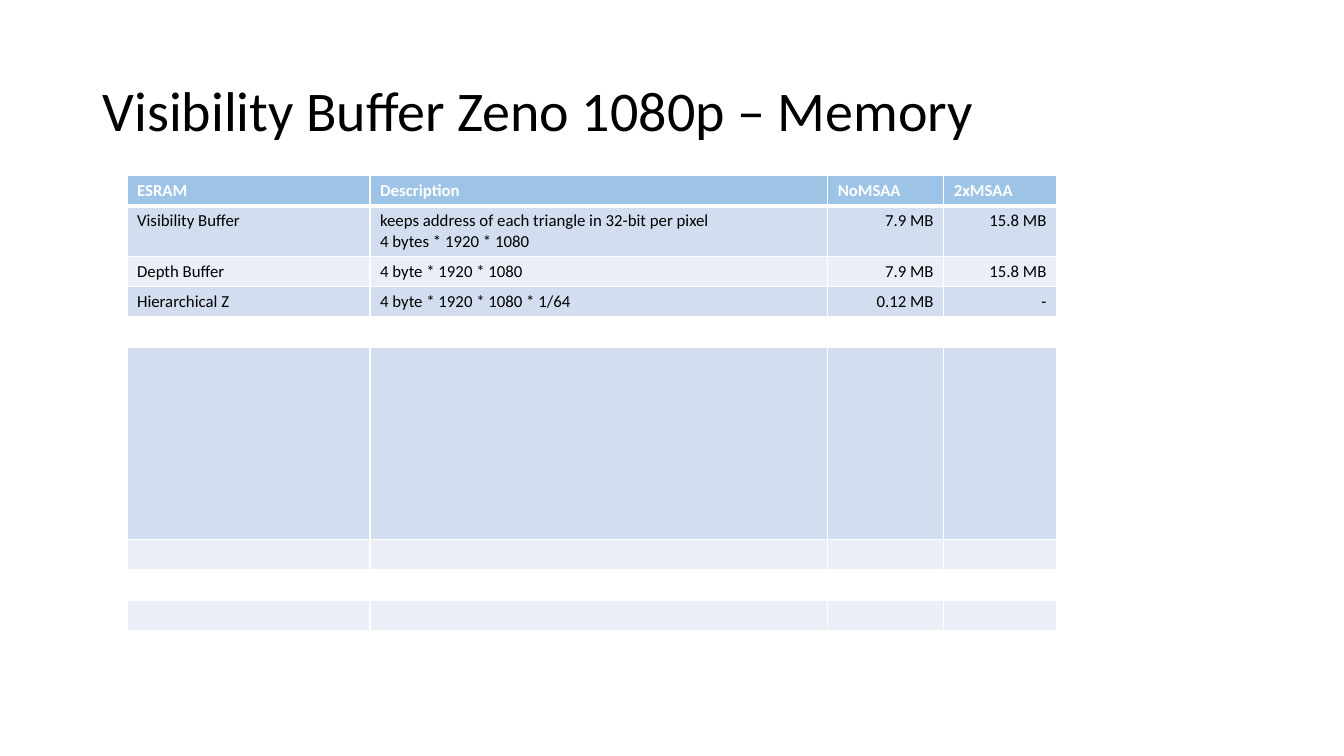
from lxml.etree import SubElement
from pptx import Presentation
from pptx.dml.color import RGBColor
from pptx.enum.text import MSO_ANCHOR, PP_ALIGN
from pptx.oxml.ns import qn
from pptx.util import Inches, Pt

WHITE = RGBColor(0xFF, 0xFF, 0xFF)
BLACK = RGBColor(0, 0, 0)
HEAD = RGBColor(0x9D, 0xC3, 0xE6)
DARK = RGBColor(0xD2, 0xDE, 0xEF)
LIGHT = RGBColor(0xEA, 0xEF, 0xF7)

COLS = [2.41, 4.54, 1.15, 1.12]
ROWS = [
    (0.3, HEAD, ["ESRAM", "Description", "NoMSAA", "2xMSAA"]),
    (0.5, DARK, ["Visibility Buffer",
                 "keeps address of each triangle in 32-bit per pixel\n4 bytes * 1920 * 1080",
                 "7.9 MB", "15.8 MB"]),
    (0.3, LIGHT, ["Depth Buffer", "4 byte * 1920 * 1080", "7.9 MB", "15.8 MB"]),
    (0.3, DARK, ["Hierarchical Z", "4 byte * 1920 * 1080 * 1/64", "0.12 MB", "-"]),
    (0.3, WHITE, [""] * 4),
    (1.91, DARK, [""] * 4),
    (0.3, LIGHT, [""] * 4),
    (0.3, WHITE, [""] * 4),
    (0.3, LIGHT, [""] * 4),
    (0.3, WHITE, [""] * 4),
]


def style(item, form):
    for name, value in form.items():
        setattr(item, name, value)


def write(para, text, size, color, bold=False):
    para.text = text
    for run in para.runs:
        style(run.font, {"name": "Calibri", "size": Pt(size), "bold": bold})
        run.font.color.rgb = color
    for gap in para._p.findall(qn("a:br")):
        SubElement(gap, qn("a:rPr"), sz=str(size * 100))
    if not text:
        SubElement(para._p, qn("a:endParaRPr"), sz=str(size * 100))


def border(cell, widths):
    for side, width in widths.items():
        line = SubElement(cell._tc.get_or_add_tcPr(), qn("a:ln" + side), w=str(Pt(width)))
        fill = SubElement(line, qn("a:solidFill"))
        SubElement(fill, qn("a:srgbClr"), val=str(WHITE))


def title(slide, text):
    box = slide.shapes.add_textbox(Inches(0.92), Inches(0.4), Inches(11.5), Inches(1.45))
    frame = box.text_frame
    style(frame, {"word_wrap": True, "vertical_anchor": MSO_ANCHOR.MIDDLE})
    para = frame.paragraphs[0]
    para.line_spacing = 0.9
    write(para, text, 40, BLACK)


def table(slide):
    high = sum(row[0] for row in ROWS)
    grid = slide.shapes.add_table(len(ROWS), len(COLS), Inches(1.26), Inches(1.74),
                                  Inches(sum(COLS)), Inches(high)).table
    for col, width in zip(grid.columns, COLS):
        col.width = Inches(width)
    for i, (height, color, texts) in enumerate(ROWS):
        grid.rows[i].height = Inches(height)
        top = i == 0
        for j, text in enumerate(texts):
            cell = grid.cell(i, j)
            border(cell, {"L": 1, "R": 1, "T": 3 if i == 1 else 1, "B": 3 if top else 1})
            cell.fill.solid()
            cell.fill.fore_color.rgb = color
            para = cell.text_frame.paragraphs[0]
            write(para, text, 12, WHITE if top else BLACK, top)
            if j > 1 and not top:
                para.alignment = PP_ALIGN.RIGHT


def main():
    deck = Presentation()
    style(deck, {"slide_width": Inches(13.33), "slide_height": Inches(7.5)})
    slide = deck.slides.add_slide(deck.slide_layouts[6])
    title(slide, "Visibility Buffer Zeno 1080p – Memory")
    table(slide)
    deck.save("out.pptx")


if __name__ == "__main__":
    main()
